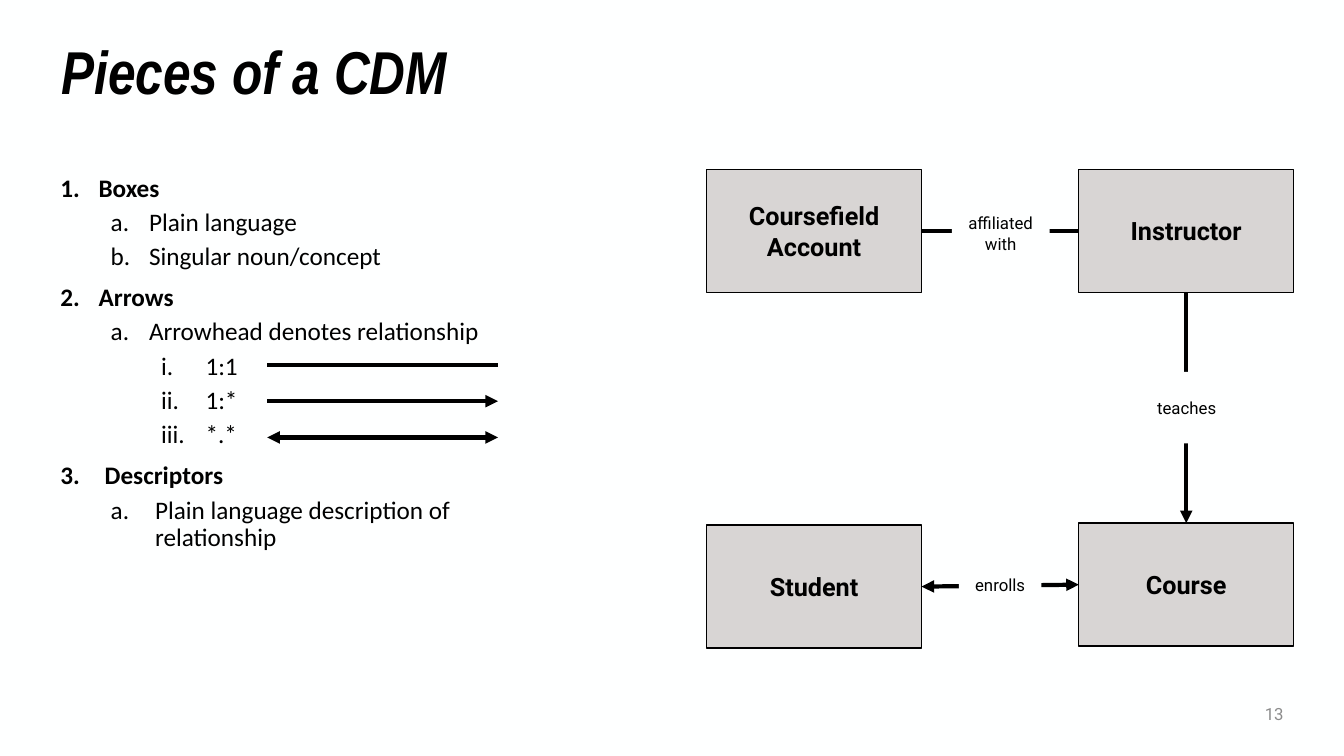
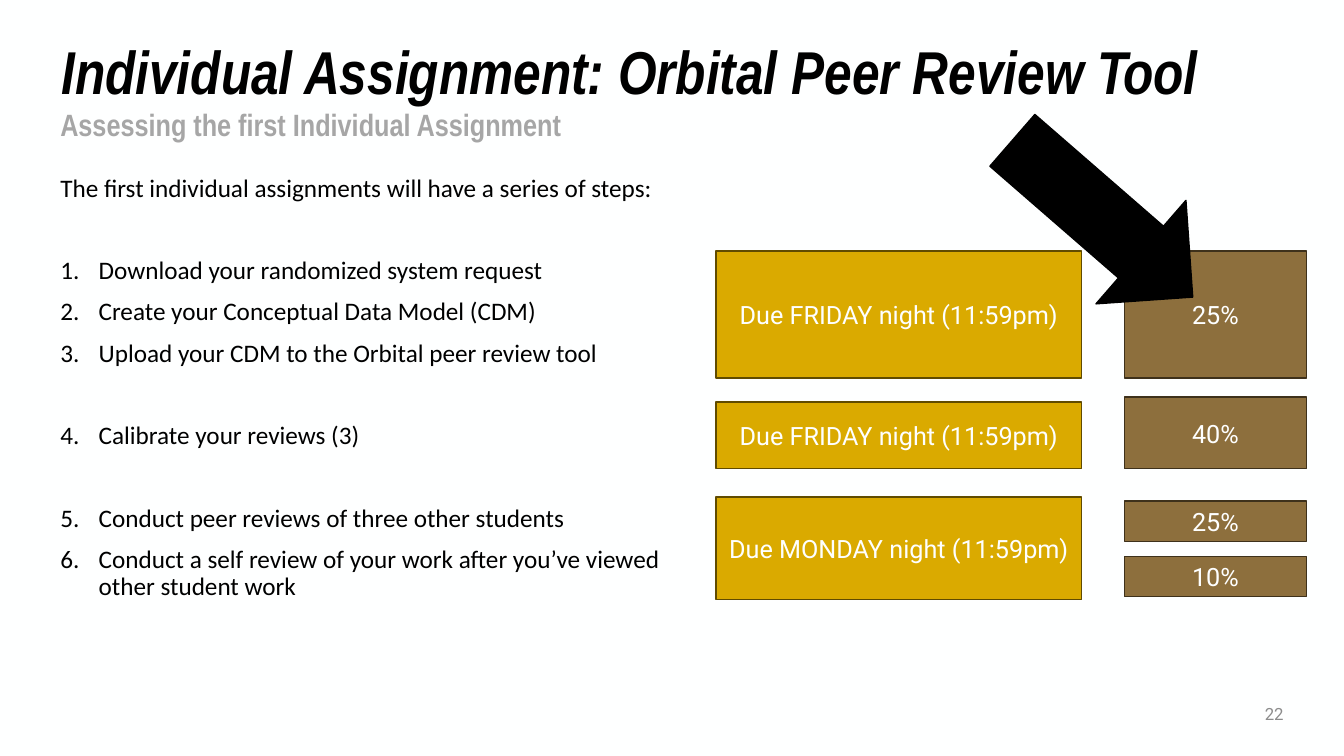
from lxml.etree import SubElement
from pptx import Presentation
from pptx.dml.color import RGBColor
from pptx.enum.shapes import MSO_CONNECTOR, MSO_SHAPE
from pptx.enum.text import MSO_ANCHOR, PP_ALIGN
from pptx.oxml.ns import qn
from pptx.util import Inches, Pt

COLORS = {
    "paper": "FEFFFF", "ink": "000000", "subtitle": "A6A6A6", "number": "8C8C8C",
    "entity": "D8D5D4", "gold": "DAAA00", "gold_edge": "604B00",
    "brown": "8D6F3D", "brown_edge": "3E311B",
}
HEAD_FONT, BODY_FONT, SHAPE_FONT = "Arial Narrow", "Calibri", "Roboto"

# Outline styles: level, left margin, hanging indent, numbering, space before, bold
STYLES = {
    "plain": (0, 0, 0, None, 10, False),
    "step": (0, 0.38, 0.38, "arabicPeriod", 10, False),
    "group": (0, 0.38, 0.38, "arabicPeriod", 39.5, False),  # step after a wide gap
    "topic": (0, 0.38, 0.38, "arabicPeriod", 10, True),
    "topic_wide": (0, 0.44, 0.44, "arabicPeriod", 10, True),
    "point": (1, 0.88, 0.38, "alphaLcPeriod", 5, False),
    "point_wide": (1, 0.94, 0.44, "alphaLcPeriod", 5, False),
    "detail": (2, 1.44, 0.44, "romanLcPeriod", 5, False),
}

# Slide 1 content
CDM_OUTLINE = [
    ("topic", "Boxes"),
    ("point", "Plain language"),
    ("point", "Singular noun/concept"),
    ("topic", "Arrows"),
    ("point", "Arrowhead denotes relationship"),
    ("detail", "1:1"),
    ("detail", "1:*"),
    ("detail", "*.*"),
    ("topic_wide", "Descriptors"),
    ("point_wide", "Plain language description of relationship"),
]
LEGEND_ENDS = [(), ("tailEnd",), ("headEnd", "tailEnd")]
ENTITY_SIZE = (2.13, 1.22)
ENTITIES = {
    "account": ("Coursefield\nAccount", 7.01, 1.68),
    "instructor": ("Instructor", 10.7, 1.68),
    "student": ("Student", 7.01, 5.21),
    "course": ("Course", 10.7, 5.19),
}
TOP, LEFT, BOTTOM, RIGHT = range(4)
# From, side, to, side, arrowheads, descriptor, descriptor box
RELATIONS = [
    ("account", RIGHT, "instructor", LEFT, (), "affiliated with", (9.44, 1.96, 0.97, 0.71)),
    ("instructor", BOTTOM, "course", TOP, ("tailEnd",), "teaches", (11.36, 3.69, 0.82, 0.71)),
    ("student", RIGHT, "course", LEFT, ("headEnd", "tailEnd"), "enrolls",
     (9.51, 5.45, 0.82, 0.71)),
]

# Slide 2 content
STEPS = [
    ("plain", "The first individual assignments will have a series of steps:"),
    ("group", "Download your randomized system request"),
    ("step", "Create your Conceptual Data Model (CDM)"),
    ("step", "Upload your CDM to the Orbital peer review tool"),
    ("group", "Calibrate your reviews (3)"),
    ("group", "Conduct peer reviews of three other students"),
    ("step", "Conduct a self review of your work after you’ve viewed\nother student work"),
]
# Column: left, width, fill, edge, boxes of (text, top, height)
COLUMNS = [
    (7.1, 3.63, "gold", "gold_edge", [
        ("Due FRIDAY night (11:59pm)", 2.49, 1.26),
        ("Due FRIDAY night (11:59pm)", 3.99, 0.66),
        ("Due MONDAY night (11:59pm)", 4.93, 1.02),
    ]),
    (11.15, 1.81, "brown", "brown_edge", [
        ("25%", 2.49, 1.26), ("40%", 3.94, 0.71), ("25%", 4.97, 0.4), ("10%", 5.52, 0.4),
    ]),
]


def rgb(name):
    return RGBColor.from_string(COLORS[name])


def set_font(p, name, size, color, bold=False, italic=False):
    for r in p.runs:
        r.font.name, r.font.size = name, Pt(size)
        r.font.bold, r.font.italic = bold, italic
        r.font.color.rgb = rgb(color)


def add_text(s, at, text, font, align=PP_ALIGN.LEFT, anchor=MSO_ANCHOR.MIDDLE, spacing=0.9):
    tf = s.shapes.add_textbox(*map(Inches, at)).text_frame
    tf.word_wrap, tf.vertical_anchor = True, anchor
    p = tf.paragraphs[0]
    p.text, p.alignment, p.line_spacing = text, align, spacing
    set_font(p, *font)


def add_outline(s, width, items):
    tf = s.shapes.add_textbox(*map(Inches, (0.5, 1.69, width, 4.87))).text_frame
    tf.word_wrap = True
    for i, (style, text) in enumerate(items):
        level, margin, hang, numbering, before, bold = STYLES[style]
        p = tf.add_paragraph() if i else tf.paragraphs[0]
        p.text, p.level, p.line_spacing = text, level, 0.9
        if i:
            p.space_before = Pt(before)
        if numbering:
            pPr = p._p.get_or_add_pPr()
            pPr.set("marL", str(Inches(margin)))
            pPr.set("indent", str(-Inches(hang)))
            SubElement(pPr, qn("a:buAutoNum"), type=numbering)
        set_font(p, BODY_FONT, 18, "ink", bold)


def add_box(s, at, text, fill, edge=None, size=18, color="ink", bold=False,
            kind=MSO_SHAPE.RECTANGLE):
    sp = s.shapes.add_shape(kind, *map(Inches, at))
    sp.shadow.inherit = False
    sp.fill.solid()
    sp.fill.fore_color.rgb = rgb(fill)
    if edge:
        sp.line.color.rgb = rgb(edge)
        sp.line.width = Pt(1)
    else:
        sp.line.fill.background()
    if text:
        tf = sp.text_frame
        tf.word_wrap, tf.vertical_anchor = True, MSO_ANCHOR.MIDDLE
        p = tf.paragraphs[0]
        p.text, p.alignment = text, PP_ALIGN.CENTER
        set_font(p, SHAPE_FONT, size, color, bold)
    return sp


def add_line(s, ends, points=(0, 0, 0, 0)):
    line = s.shapes.add_connector(MSO_CONNECTOR.STRAIGHT, *map(Inches, points))
    line.line.color.rgb = rgb("ink")
    line.line.width = Pt(3)
    ln = line.line._get_or_add_ln()
    for end in ends:
        SubElement(ln, qn(f"a:{end}"), type="triangle")
    SubElement(line._element.spPr, qn("a:effectLst"))
    return line


def add_slide(prs, title, number):
    s = prs.slides.add_slide(prs.slide_layouts[6])
    add_text(s, (0.51, 0.42, 12.32, 0.64), title, (HEAD_FONT, 43.2, "ink", True, True))
    add_text(s, (11.63, 6.88, 1.2, 0.4), number, (SHAPE_FONT, 12, "number"),
             PP_ALIGN.RIGHT, spacing=1.0)
    return s


def build_cdm(prs):
    s = add_slide(prs, "Pieces of a CDM", "13")
    add_outline(s, 4.96, CDM_OUTLINE)

    # Arrow legend beside the ratios
    for i, ends in enumerate(LEGEND_ENDS):
        y = 3.62 + 0.36 * i
        add_line(s, ends, (2.65, y, 4.94, y))

    # Entity boxes and their relations
    boxes = {key: add_box(s, (x, y, *ENTITY_SIZE), text, "entity", "ink", bold=True)
             for key, (text, x, y) in ENTITIES.items()}
    for start, start_side, end, end_side, ends, label, at in RELATIONS:
        line = add_line(s, ends)
        line.begin_connect(boxes[start], start_side)
        line.end_connect(boxes[end], end_side)
        add_box(s, at, label, "paper", size=12)


def build_assignment(prs):
    s = add_slide(prs, "Individual Assignment: Orbital Peer Review Tool", "22")
    add_text(s, (0.5, 1.04, 12.33, 0.4), "Assessing the first Individual Assignment",
             (HEAD_FONT, 22, "subtitle", True), anchor=MSO_ANCHOR.TOP)
    add_outline(s, 12.32, STEPS)

    # Deadlines and weights
    for x, width, fill, edge, boxes in COLUMNS:
        for text, y, height in boxes:
            add_box(s, (x, y, width, height), text, fill, edge, color="paper")

    # Pointer to the first weight
    arrow = add_box(s, (9.75, 1.49, 2.37, 1.36), "", "ink", "ink", kind=MSO_SHAPE.RIGHT_ARROW)
    arrow.rotation = 41


def main():
    prs = Presentation()
    prs.slide_width, prs.slide_height = Inches(13.33), Inches(7.5)
    background = prs.slide_master.background.fill
    background.solid()
    background.fore_color.rgb = rgb("paper")
    build_cdm(prs)
    build_assignment(prs)
    prs.save("out.pptx")


if __name__ == "__main__":
    main()
